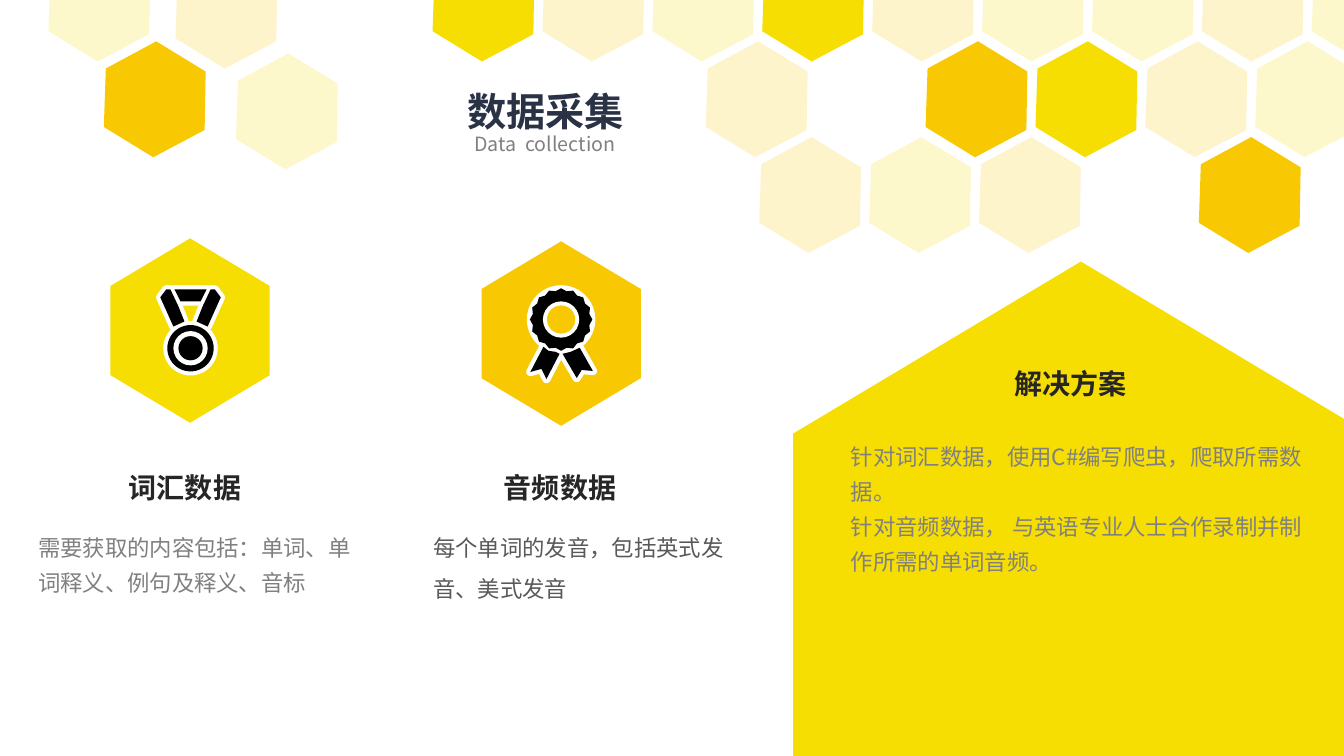
from lxml.etree import SubElement
from pptx import Presentation
from pptx.dml.color import RGBColor
from pptx.enum.shapes import MSO_SHAPE
from pptx.enum.text import MSO_ANCHOR, MSO_AUTO_SIZE, PP_ALIGN
from pptx.oxml.ns import qn
from pptx.util import Inches, Pt

FONT = "Noto Sans CJK SC"
COLORS = {
    "yellow": "F6DE03", "orange": "F8C803", "navy": "2A3246", "heading": "262626",
    "dark": "595959", "gray": "808080", "white": "FFFFFF", "black": "000000",
}

TITLE = (["数据采集"], (3.84, 0.72, 3.14, 0.63), 28, "navy", True, 1.2, PP_ALIGN.CENTER)
TEXTS = [
    (["Data  collection"], (2.8, 1.21, 5.21, 0.36), 14, "gray", False, 1.2, PP_ALIGN.CENTER),
    (["词汇数据"], (1.18, 4.62, 2.75, 0.44), 20, "heading", True, 1.0, PP_ALIGN.LEFT),
    (["需要获取的内容包括：单词、单词释义、例句及释义、音标"],
     (0.28, 5.17, 3.36, 0.77), 16, "gray", False, 1.3, PP_ALIGN.LEFT),
    (["音频数据"], (4.9, 4.62, 2.75, 0.44), 20, "heading", True, 1.0, PP_ALIGN.LEFT),
    (["每个单词的发音，包括英式发音、美式发音"],
     (4.2, 5.12, 3.26, 0.87), 16, "dark", False, 1.5, PP_ALIGN.LEFT),
    (["解决方案"], (9.96, 3.59, 2.75, 0.44), 20, "heading", True, 1.0, PP_ALIGN.LEFT),
    (["针对词汇数据，使用C#编写爬虫，爬取所需数据。",
      "针对音频数据， 与英语专业人士合作录制并制作所需的单词音频。"],
     (8.34, 4.27, 4.88, 1.47), 16, "gray", False, 1.3, PP_ALIGN.LEFT),
]

HEXAGONS = [
    (7.41, 3.05, 6.62, 5.71, "yellow"),
    (4.65, 2.52, 1.83, 1.58, "orange"),
    (0.97, 2.49, 1.83, 1.58, "yellow"),
]

CELL_PITCH = 1.09
CELL_OUTLINE = [(0.49, 1.15), (0, 0.85), (0.02, 0.27), (0.52, 0), (1.01, 0.3), (1, 0.88)]
CELL_FILLS = {"Y": ("yellow", 100), "O": ("orange", 100), "y": ("yellow", 20), "o": ("orange", 20)}
CELL_ROWS = [
    (4.29, -0.54, "YoyYoyyoy"),
    (7.0, 0.41, "o OYoy"),
    (7.53, 1.36, "oyo O"),
    (0.48, -0.54, "y"),
    (1.74, -0.47, "o"),
    (1.03, 0.41, "O"),
    (2.34, 0.53, "y"),
]

MEDAL_RIBBONS = [
    [(1.73, 2.87), (2.05, 2.87), (1.99, 2.99), (1.79, 2.99)],
    [(2.09, 2.87), (2.13, 2.87), (2.19, 2.95), (2.06, 3.24), (1.95, 3.19), (2.01, 3.04)],
    [(1.65, 2.87), (1.69, 2.87), (1.77, 3.04), (1.83, 3.19), (1.72, 3.24), (1.59, 2.95)],
]
ROSETTE_RIBBONS = [
    [(5.75, 3.45), (5.88, 3.68), (5.77, 3.67), (5.72, 3.75), (5.58, 3.51), (5.66, 3.49)],
    [(5.39, 3.44), (5.44, 3.48), (5.51, 3.49), (5.55, 3.51), (5.42, 3.76), (5.37, 3.66), (5.26, 3.69)],
]
OVAL, STAR = MSO_SHAPE.OVAL, MSO_SHAPE.STAR_16_POINT
ICONS = [
    (MEDAL_RIBBONS, (1.89, 3.455),
     [(OVAL, 0.27, "white"), (OVAL, 0.23, "black"), (OVAL, 0.17, "white"), (OVAL, 0.12, "black")]),
    (ROSETTE_RIBBONS, (5.565, 3.17),
     [(OVAL, 0.34, "white"), (STAR, 0.31, "black"), (OVAL, 0.18, "white"), (OVAL, 0.14, "orange")]),
]


def rgb(name):
    return RGBColor.from_string(COLORS[name])


def paint(sp, color, opacity=100):
    sp.shadow.inherit = False
    sp.fill.solid()
    sp.fill.fore_color.rgb = rgb(color)
    sp.line.fill.background()
    if opacity < 100:
        clr = sp._element.spPr.find(qn("a:solidFill")).find(qn("a:srgbClr"))
        SubElement(clr, qn("a:alpha")).set("val", str(opacity * 1000))


def outline(shapes, polygons):
    builder = None
    for polygon in polygons:
        points = [(Inches(x), Inches(y)) for x, y in polygon]
        if builder is None:
            builder = shapes.build_freeform(*points[0])
        else:
            builder.move_to(*points[0])
        builder.add_line_segments(points[1:], close=True)
    return builder.convert_to_shape()


def draw_icon(shapes, ribbons, center, discs):
    halo = outline(shapes, ribbons)
    paint(halo, "white")
    halo.line.color.rgb = rgb("white")
    halo.line.width = Pt(6)
    disc_halo, *front = discs
    draw_disc(shapes, center, *disc_halo)
    paint(outline(shapes, ribbons), "black")
    for disc in front:
        draw_disc(shapes, center, *disc)


def draw_disc(shapes, center, kind, radius, color):
    x, y = center
    sp = shapes.add_shape(kind, Inches(x - radius), Inches(y - radius),
                          Inches(2 * radius), Inches(2 * radius))
    if kind == STAR:
        sp.adjustments[0] = 0.46
    paint(sp, color)


def write(sp, lines, box, size, color, bold, spacing, align):
    sp.left, sp.top, sp.width, sp.height = [Inches(v) for v in box]
    tf = sp.text_frame
    tf.word_wrap = True
    tf.auto_size = MSO_AUTO_SIZE.SHAPE_TO_FIT_TEXT
    tf.vertical_anchor = MSO_ANCHOR.TOP
    tf.text = "\n".join(lines)
    for p in tf.paragraphs:
        p.alignment = align
        p.line_spacing = spacing
        p.font.size = Pt(size)
        p.font.bold = bold
        p.font.color.rgb = rgb(color)
        p.font.name = FONT
        SubElement(p._p.pPr.find(qn("a:defRPr")), qn("a:ea")).set("typeface", FONT)


def main():
    prs = Presentation()
    prs.slide_width, prs.slide_height = Inches(13.33), Inches(7.5)
    slide = prs.slides.add_slide(prs.slide_layouts[5])
    shapes = slide.shapes

    for *box, color in HEXAGONS:
        sp = shapes.add_shape(MSO_SHAPE.HEXAGON, *[Inches(v) for v in box])
        sp.rotation = 90
        sp.adjustments[0] = 0.299
        paint(sp, color)

    for left, top, cells in CELL_ROWS:
        for col, cell in enumerate(cells):
            if cell in CELL_FILLS:
                x = left + col * CELL_PITCH
                sp = outline(shapes, [[(x + dx, top + dy) for dx, dy in CELL_OUTLINE]])
                paint(sp, *CELL_FILLS[cell])

    for icon in ICONS:
        draw_icon(shapes, *icon)

    write(shapes.title, *TITLE)
    for text in TEXTS:
        write(shapes.add_textbox(0, 0, 0, 0), *text)

    prs.save("out.pptx")


if __name__ == "__main__":
    main()
